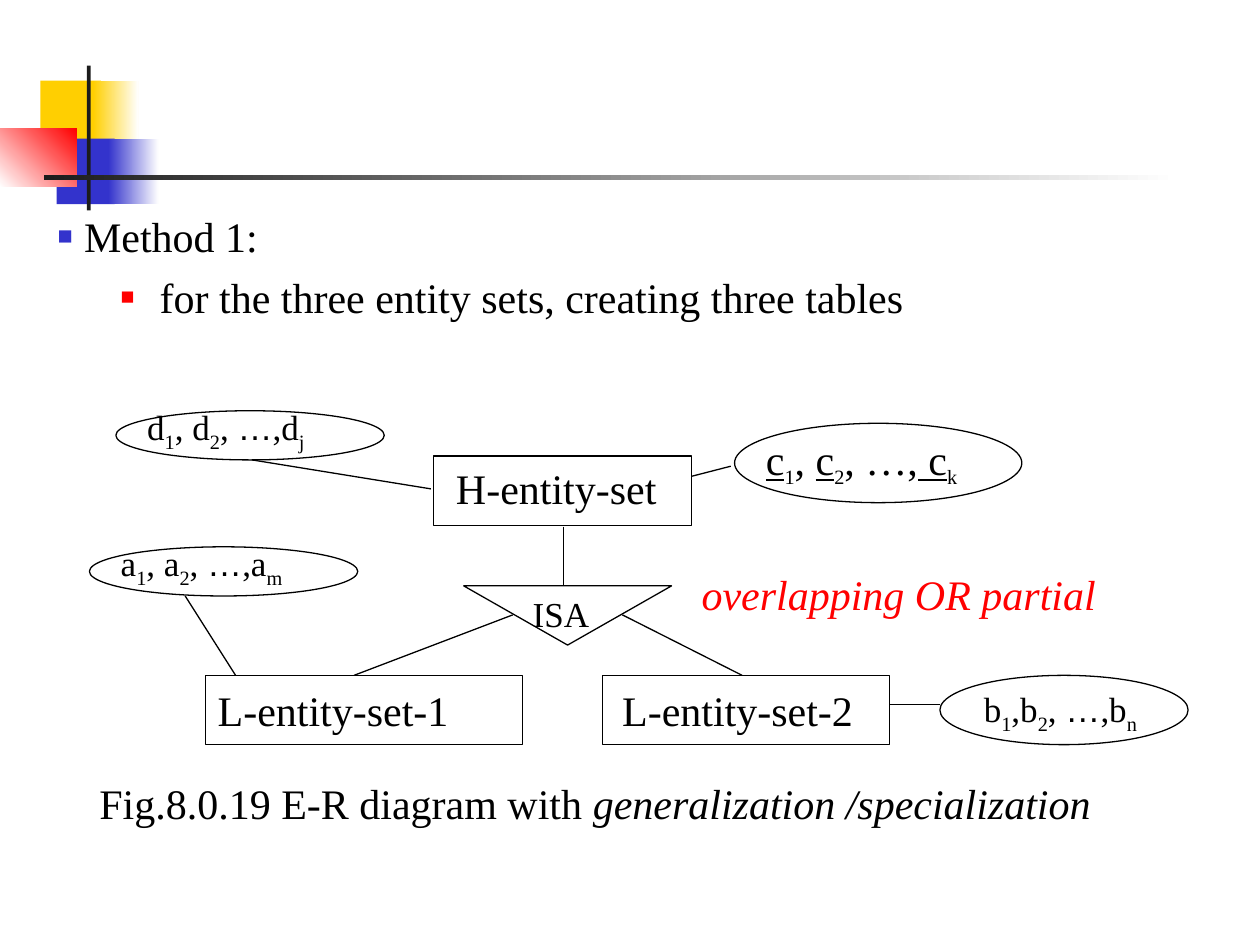
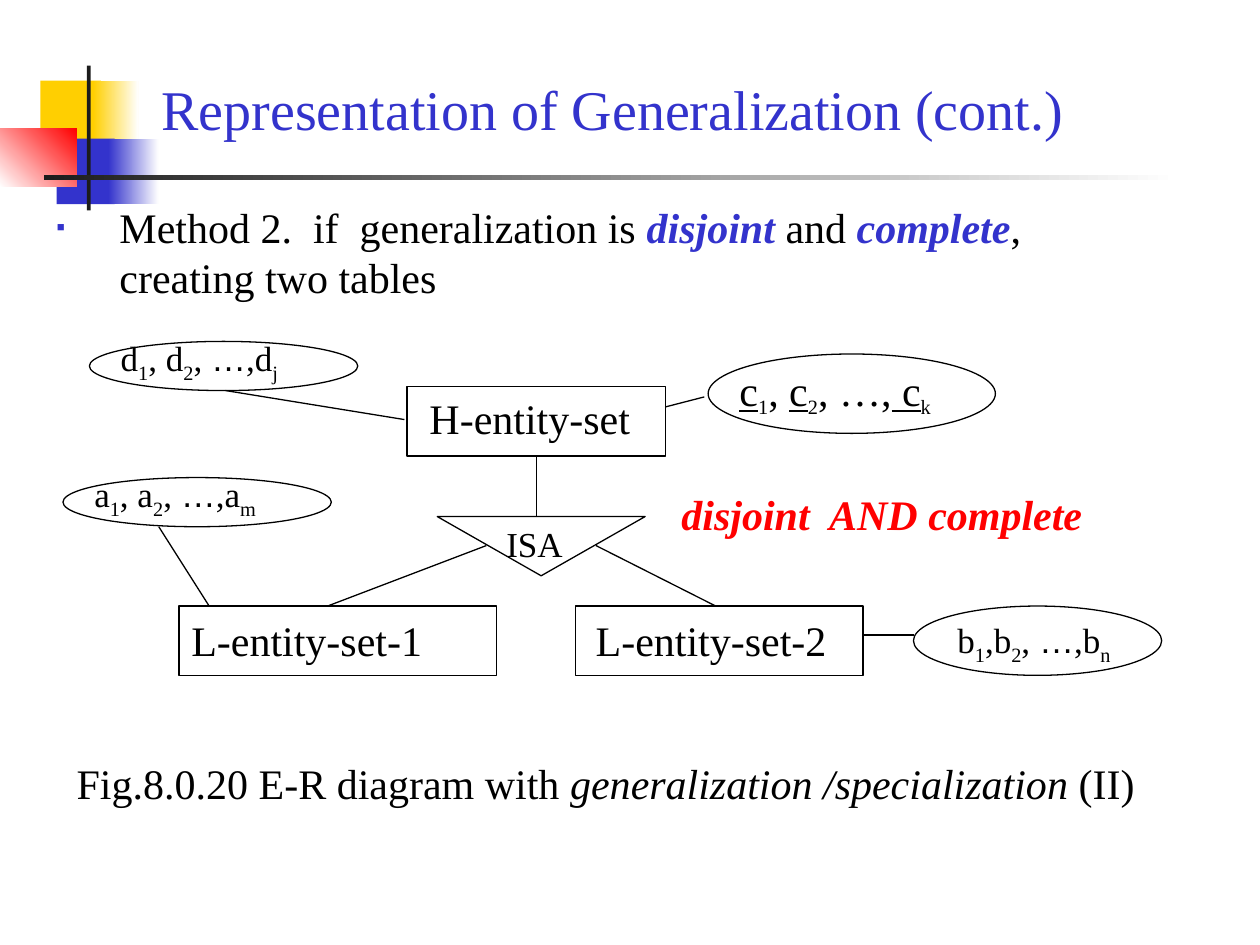
from dataclasses import dataclass

from lxml import etree
from pptx import Presentation
from pptx.dml.color import RGBColor
from pptx.enum import shapes, text
from pptx.oxml.ns import qn
from pptx.util import Inches, Pt


@dataclass(frozen=True)
class Theme:
    ink: str = "000000"
    blue: str = "3333CC"
    red: str = "FF0000"
    yellow: str = "FFCF01"
    bar: str = "1C1C1C"
    white: str = "FFFFFF"
    font: str = "Times New Roman"
    dots_font: str = "Arial"
    title: int = 32
    body: int = 24
    small: int = 20
    line: float = 0.75


THEME = Theme()

# Run formats
SUB = {"sub": True, "size": THEME.small}
KEY = {"underline": True}
DOTS = {"font": THEME.dots_font}
ITALIC = {"italic": True}
STRONG = {"bold": True, "italic": True, "color": THEME.blue}

# Corner ornament: box, colours (two make a gradient), gradient angle
ORNAMENT = [
    ((0.32, 0.64, 0.48, 0.52), [THEME.yellow], 0),
    ((0.74, 0.64, 0.36, 0.52), [THEME.yellow, THEME.white], 0),
    ((0.45, 1.10, 0.46, 0.52), [THEME.blue], 0),
    ((0.86, 1.10, 0.40, 0.52), [THEME.blue, THEME.white], 0),
    ((0, 1.02, 0.61, 0.46), [THEME.white, THEME.red], 45),
    ((0.69, 0.52, 0.03, 1.15), [THEME.bar], 0),
    ((0.35, 1.39, 9, 0.04), [THEME.bar, THEME.white], 0),
]


def attributes(letter, last, gap=", "):
    """Runs for a plain attribute list such as a1, a2, …,am."""
    return [letter, ("1", SUB), gap + letter, ("2", SUB), ", ",
            ("…", DOTS), "," + letter, (last, SUB)]


KEY_ATTRIBUTES = [("c", KEY), ("1", SUB), ", ", ("c", KEY), ("2", SUB),
                  ", …,", (" c", KEY), ("k", SUB)]

# E-R diagram: outline, its box, label box, label runs, label size
BOX = shapes.MSO_SHAPE.RECTANGLE
OVAL = shapes.MSO_SHAPE.OVAL
MERGE = shapes.MSO_SHAPE.FLOWCHART_MERGE
NODES = [
    (BOX, (3.44, 3.62, 2.05, 0.55), (3.52, 3.62, 1.95, 0.5), ["H-entity-set"], THEME.body),
    (BOX, (1.63, 5.36, 2.52, 0.55), (1.63, 5.38, 2.2, 0.5), ["L-entity-set-1"], THEME.body),
    (BOX, (4.78, 5.36, 2.28, 0.55), (4.84, 5.38, 2.2, 0.5), ["L-entity-set-2"], THEME.body),
    (MERGE, (3.68, 4.65, 1.65, 0.47), (4.13, 4.65, 0.8, 0.44), ["ISA"], THEME.small),
    (OVAL, (5.83, 3.36, 2.28, 0.63), (5.98, 3.39, 1.95, 0.54), KEY_ATTRIBUTES, THEME.body),
    (OVAL, (7.46, 5.36, 1.97, 0.55), (7.71, 5.41, 1.7, 0.48),
     attributes("b", "n", gap=","), THEME.small),
    (OVAL, (0.71, 4.34, 2.13, 0.39), (0.86, 4.25, 1.8, 0.48),
     attributes("a", "m"), THEME.small),
    (OVAL, (0.92, 3.26, 2.13, 0.39), (1.07, 3.17, 1.8, 0.48),
     attributes("d", "j"), THEME.small),
]
LINKS = [
    ((4.47, 4.18), (4.47, 4.65)),
    ((4.07, 4.88), (2.81, 5.36)),
    ((4.94, 4.88), (5.89, 5.36)),
    ((5.49, 3.78), (5.80, 3.70)),
    ((7.06, 5.59), (7.46, 5.59)),
    ((1.47, 4.73), (1.87, 5.36)),
    ((2.00, 3.65), (3.42, 3.88)),
]

# Bullets: glyph, colour, size in %, left indent, hanging indent
METHOD_1 = ("■", THEME.blue, 60, 0.21, 0.21)
METHOD_1_STEP = ("■", THEME.red, 55, 0.81, 0.31)
METHOD_2 = ("▪", THEME.blue, 60, 0.5, 0.5)

SLIDES = [
    {
        "method_box": (0.36, 1.62, 9.17, 1.1),
        "method": [(["Method 1:"], METHOD_1),
                   (["for the three entity sets, creating three tables"], METHOD_1_STEP)],
        "shift": (0, 0),
        "constraint": ((5.47, 4.46, 3.33, 0.5), "overlapping OR partial", False),
        "caption_box": (0.69, 6.12, 8.23, 0.5),
        "caption": ["Fig.8.0.19 E-R diagram with ",
                    ("generalization /specialization", ITALIC)],
    },
    {
        "title": "Representation of Generalization (cont.)",
        "method_box": (0.35, 1.55, 8.9, 0.9),
        "method": [(["Method 2.  if  generalization is ", ("disjoint ", STRONG), "and ",
                     ("complete", STRONG), ", creating two tables"], METHOD_2)],
        "shift": (-0.21, -0.55),
        "constraint": ((5.31, 3.83, 3.39, 0.5), "disjoint  AND complete", True),
        "caption_box": (0.51, 5.96, 8.68, 0.5),
        "caption": ["Fig.8.0.20 E-R diagram with ",
                    ("generalization /specialization", ITALIC), " (II)"],
    },
]
TITLE_BOX = (0.95, 0.54, 7.83, 0.64)


def inches(values):
    return [Inches(value) for value in values]


def moved(box, shift):
    return (box[0] + shift[0], box[1] + shift[1], *box[2:])


def add_bullet(paragraph, glyph, color, percent, left, hanging):
    props = paragraph._p.get_or_add_pPr()
    props.set("marL", str(Inches(left)))
    props.set("indent", str(-Inches(hanging)))
    bullet_color = etree.SubElement(props, qn("a:buClr"))
    etree.SubElement(bullet_color, qn("a:srgbClr"), val=color)
    etree.SubElement(props, qn("a:buSzPct"), val=str(percent * 1000))
    etree.SubElement(props, qn("a:buFont"), typeface=THEME.dots_font)
    etree.SubElement(props, qn("a:buChar"), char=glyph)


def add_run(paragraph, content, size=THEME.body, color=THEME.ink, font=THEME.font,
            bold=False, italic=False, underline=False, sub=False):
    run = paragraph.add_run()
    run.text = content
    run.font.size = Pt(size)
    run.font.name = font
    run.font.color.rgb = RGBColor.from_string(color)
    run.font.bold, run.font.italic, run.font.underline = bold, italic, underline
    if sub:
        run._r.get_or_add_rPr().set("baseline", "-25000")


def add_text(parent, box, paragraphs, wrap=True, align=text.PP_ALIGN.LEFT, **base):
    """Each paragraph is (runs, bullet); a run is text or (text, format)."""
    frame = parent.add_textbox(*inches(box)).text_frame
    frame.word_wrap = wrap
    for index, (runs, bullet) in enumerate(paragraphs):
        paragraph = frame.add_paragraph() if index else frame.paragraphs[0]
        paragraph.alignment = align
        if index:
            paragraph.space_before = Pt(6)
        if bullet:
            add_bullet(paragraph, *bullet)
        for run in runs:
            content, style = (run, {}) if isinstance(run, str) else run
            add_run(paragraph, content, **{**base, **style})


def add_ornament(slide):
    for box, colors, angle in ORNAMENT:
        block = slide.shapes.add_shape(BOX, *inches(box))
        block.shadow.inherit = False
        block.line.fill.background()
        if len(colors) == 1:
            block.fill.solid()
            block.fill.fore_color.rgb = RGBColor.from_string(colors[0])
            continue
        block.fill.gradient()
        block.fill.gradient_angle = angle
        for stop, position, color in zip(block.fill.gradient_stops, (0, 1), colors):
            stop.position = position
            stop.color.rgb = RGBColor.from_string(color)


def ink_line(line):
    line.color.rgb = RGBColor.from_string(THEME.ink)
    line.width = Pt(THEME.line)


def add_diagram(slide, shift):
    diagram = slide.shapes.add_group_shape().shapes
    for outline, box, label_box, label, size in NODES:
        node = diagram.add_shape(outline, *inches(moved(box, shift)))
        node.shadow.inherit = False
        node.fill.background()
        ink_line(node.line)
        add_text(diagram, moved(label_box, shift), [(label, None)], size=size)
    for start, end in LINKS:
        link = diagram.add_connector(shapes.MSO_CONNECTOR.STRAIGHT,
                                     *inches(moved(start, shift) + moved(end, shift)))
        ink_line(link.line)
        etree.SubElement(link._element.spPr, qn("a:effectLst"))


def build_slide(deck, content):
    slide = deck.slides.add_slide(deck.slide_layouts[6])
    add_ornament(slide)
    if "title" in content:
        add_text(slide.shapes, TITLE_BOX, [([content["title"]], None)],
                 align=text.PP_ALIGN.CENTER, size=THEME.title, color=THEME.blue)
    add_text(slide.shapes, content["method_box"], content["method"])
    add_diagram(slide, content["shift"])
    box, constraint, bold = content["constraint"]
    add_text(slide.shapes, box, [([constraint], None)], wrap=False,
             color=THEME.red, bold=bold, italic=True)
    add_text(slide.shapes, content["caption_box"], [(content["caption"], None)], wrap=False)


def main():
    deck = Presentation()
    deck.slide_width, deck.slide_height = Inches(10), Inches(7.5)
    for content in SLIDES:
        build_slide(deck, content)
    deck.save("out.pptx")


if __name__ == "__main__":
    main()
